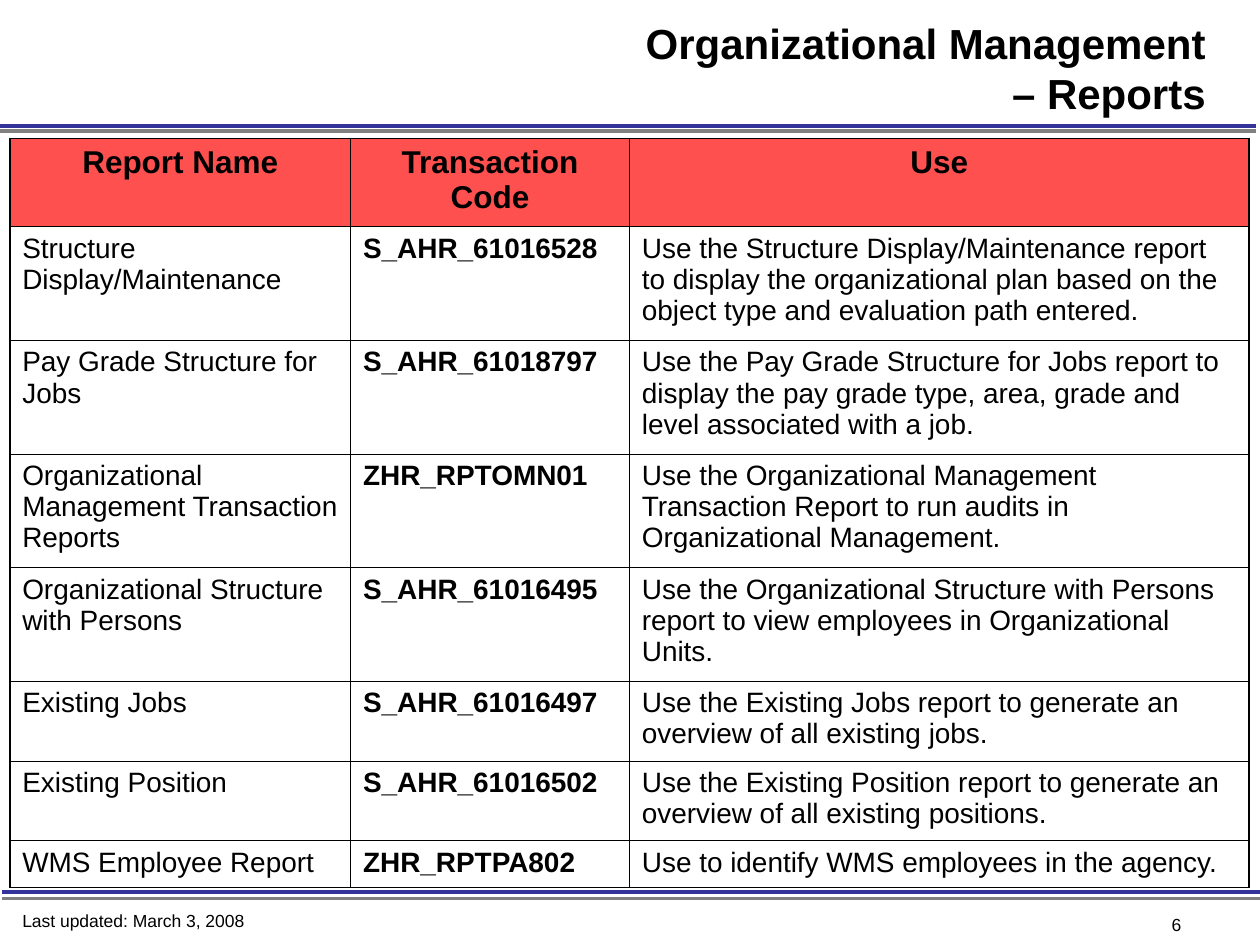
from dataclasses import dataclass

from lxml.etree import SubElement
from pptx import Presentation
from pptx.dml.color import RGBColor
from pptx.enum.shapes import MSO_CONNECTOR
from pptx.enum.text import MSO_ANCHOR, MSO_AUTO_SIZE, PP_ALIGN
from pptx.oxml.ns import qn
from pptx.slide import Slide
from pptx.table import Table, _Cell
from pptx.util import Cm, Pt

COLORS = {
    "text": "000000",
    "header": "FF5050",
    "rule_blue": "333399",
    "rule_gray": "808080",
}
FONT = "Arial"
THIN, THICK = Pt(0.45), Pt(1.08)


@dataclass
class Rule:
    left: float
    right: float
    top: float
    color: str


@dataclass
class Report:
    name: str
    code: str
    use: str
    height: float


@dataclass
class Footer:
    text: str
    left: float
    top: float
    width: float
    height: float
    inset_x: float
    inset_y: float


RULES = [
    Rule(0, 25.32, 2.54, "rule_blue"),
    Rule(0, 25.32, 2.64, "rule_gray"),
    Rule(0.05, 25.4, 17.98, "rule_blue"),
    Rule(0.05, 25.4, 18.11, "rule_gray"),
]
COLUMN_WIDTHS = [6.87, 5.62, 12.49]
HEADER = Report("Report Name", "Transaction Code", "Use", 1.78)
REPORTS = [
    Report("Structure Display/Maintenance", "S_AHR_61016528",
           "Use the Structure Display/Maintenance report to display the "
           "organizational plan based on the object type and evaluation path entered.", 2.29),
    Report("Pay Grade Structure for Jobs", "S_AHR_61018797",
           "Use the Pay Grade Structure for Jobs report to display the pay grade "
           "type, area, grade and level associated with a job.", 2.29),
    Report("Organizational Management Transaction Reports", "ZHR_RPTOMN01",
           "Use the Organizational Management Transaction Report to run audits in "
           "Organizational Management.", 2.29),
    Report("Organizational Structure with Persons", "S_AHR_61016495",
           "Use the Organizational Structure with Persons report to view employees "
           "in Organizational Units.", 2.29),
    Report("Existing Jobs", "S_AHR_61016497",
           "Use the Existing Jobs report to generate an overview of all existing jobs.", 1.61),
    Report("Existing Position", "S_AHR_61016502",
           "Use the Existing Position report to generate an overview of all "
           "existing positions.", 1.61),
    Report("WMS Employee Report", "ZHR_RPTPA802",
           "Use to identify WMS employees in the agency.", 0.94),
]
FOOTERS = [
    Footer("Last updated: March 3, 2008", 0.2, 18.21, 4.98, 0.69, 0.25, 0.13),
    Footer("6", 23.62, 18.42, 1.6, 0.43, 0, 0),
]


def color(key: str) -> RGBColor:
    return RGBColor.from_string(COLORS[key])


def style_text(paragraph, size: float, bold: bool, align=PP_ALIGN.LEFT) -> None:
    paragraph.alignment = align
    font = paragraph.font
    font.name, font.size, font.bold = FONT, Pt(size), bold
    font.color.rgb = color("text")


def draw_rule(slide: Slide, rule: Rule) -> None:
    line = slide.shapes.add_connector(
        MSO_CONNECTOR.STRAIGHT, Cm(rule.left), Cm(rule.top), Cm(rule.right), Cm(rule.top))
    line.line.color.rgb = color(rule.color)
    line.line.width = Pt(2)
    SubElement(line._element.spPr, qn("a:effectLst"))


def set_borders(cell: _Cell, widths: dict[str, int]) -> None:
    properties = cell._tc.get_or_add_tcPr()
    for side, width in widths.items():
        border = SubElement(properties, qn(f"a:ln{side}"), w=str(width))
        fill = SubElement(border, qn("a:solidFill"))
        SubElement(fill, qn("a:srgbClr"), val=COLORS["text"])


def fill_row(table: Table, index: int, report: Report) -> None:
    is_header = index == 0
    table.rows[index].height = Cm(report.height)
    for column, text in enumerate((report.name, report.code, report.use)):
        cell = table.cell(index, column)
        cell.text = text
        cell.margin_left = cell.margin_right = Cm(0.25)
        cell.margin_top = cell.margin_bottom = Cm(0.13)
        style_text(cell.text_frame.paragraphs[0], 18 if is_header else 16,
                   is_header or column == 1,
                   PP_ALIGN.CENTER if is_header else PP_ALIGN.LEFT)
        # Borders go before the fill in the cell properties
        set_borders(cell, {
            "L": THICK if column == 0 else THIN,
            "R": THICK if column == len(COLUMN_WIDTHS) - 1 else THIN,
            "T": THICK if is_header else THIN,
            "B": THIN,
        })
        if is_header:
            cell.fill.solid()
            cell.fill.fore_color.rgb = color("header")
        else:
            cell.fill.background()


def draw_reports(slide: Slide) -> None:
    rows = [HEADER, *REPORTS]
    table = slide.shapes.add_table(
        len(rows), len(COLUMN_WIDTHS), Cm(0.2), Cm(2.79),
        Cm(sum(COLUMN_WIDTHS)), Cm(sum(row.height for row in rows))).table
    table.first_row = table.horz_banding = False
    for column, width in zip(table.columns, COLUMN_WIDTHS):
        column.width = Cm(width)
    for index, report in enumerate(rows):
        fill_row(table, index, report)


def draw_footer(slide: Slide, footer: Footer) -> None:
    frame = slide.shapes.add_textbox(
        Cm(footer.left), Cm(footer.top), Cm(footer.width), Cm(footer.height)).text_frame
    frame.word_wrap = False
    frame.margin_left = frame.margin_right = Cm(footer.inset_x)
    frame.margin_top = frame.margin_bottom = Cm(footer.inset_y)
    frame.text = footer.text
    style_text(frame.paragraphs[0], 10, False)


def draw_title(slide: Slide) -> None:
    title = slide.shapes.title
    title.left, title.top, title.width, title.height = Cm(12.7), Cm(0.2), Cm(11.86), Cm(2.34)
    frame = title.text_frame
    frame.text = "Organizational Management – Reports"
    frame.auto_size = MSO_AUTO_SIZE.NONE
    frame.vertical_anchor = MSO_ANCHOR.MIDDLE
    style_text(frame.paragraphs[0], 24, True, PP_ALIGN.RIGHT)


def main() -> None:
    presentation = Presentation()
    presentation.slide_width, presentation.slide_height = Cm(25.4), Cm(19.05)
    slide = presentation.slides.add_slide(presentation.slide_layouts[5])

    # Heading and the double rules around the table
    draw_title(slide)
    for rule in RULES:
        draw_rule(slide, rule)

    # Report table
    draw_reports(slide)

    # Date and page number
    for footer in FOOTERS:
        draw_footer(slide, footer)

    presentation.save("out.pptx")


if __name__ == "__main__":
    main()
